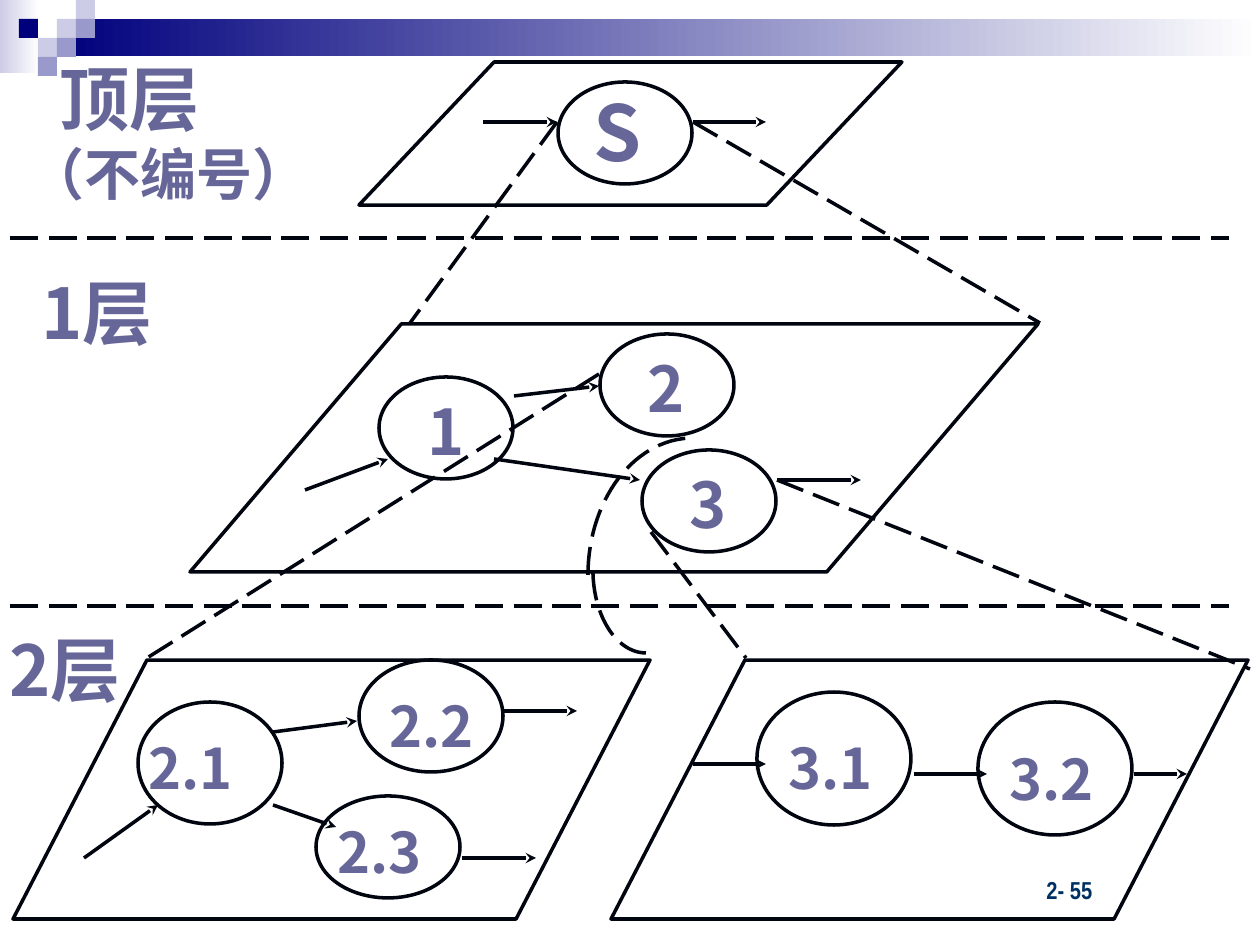
from math import cos, radians, sin

from lxml import etree
from pptx import Presentation
from pptx.dml.color import RGBColor
from pptx.enum.dml import MSO_LINE as Dash
from pptx.enum.shapes import MSO_CONNECTOR as Connector, MSO_SHAPE as Shape
from pptx.enum.text import MSO_AUTO_SIZE as AutoSize
from pptx.oxml.ns import qn
from pptx.util import Emu, Pt

EMU_PER_PX = 914400 / 126
INK, LABEL, NAVY = "01050F", "666699", "00007D"
LILAC, PALE, WHITE = "9999CC", "CCCCE6", "FFFFFF"
CJK = "Noto Sans CJK SC"


def px(length):
    return Emu(round(length * EMU_PER_PX))


def color(code):
    return RGBColor.from_string(code)


class Painter:
    def __init__(self, page):
        self.page = page

    def stroke(self, line, dashed=False):
        line.color.rgb = color(INK)
        line.width = Pt(2)
        if dashed:
            line.dash_style = Dash.LONG_DASH

    def block(self, left, top, width, height, start, end=None):
        """Borderless rectangle, plain or fading from start to end."""
        box = self.page.shapes.add_shape(
            Shape.RECTANGLE, px(left), px(top), px(width), px(height))
        box.shadow.inherit = False
        box.line.fill.background()
        if end is None:
            box.fill.solid()
            box.fill.fore_color.rgb = color(start)
            return
        box.fill.gradient()
        box.fill.gradient_angle = 0
        for stop, code in zip(box.fill.gradient_stops, (start, end)):
            stop.color.rgb = color(code)

    def outline(self, kind, left, top, width, height, slant=None):
        box = self.page.shapes.add_shape(
            kind, px(left), px(top), px(width), px(height))
        box.shadow.inherit = False
        box.fill.background()
        self.stroke(box.line)
        if slant is not None:
            box.adjustments[0] = slant

    def text(self, left, top, width, height, lines, font=CJK,
             code=LABEL, wrap=False):
        """Each line is (wording, point size, left indent in px)."""
        box = self.page.shapes.add_textbox(
            px(left), px(top), px(width), px(height))
        frame = box.text_frame
        frame.word_wrap = wrap
        frame.auto_size = AutoSize.SHAPE_TO_FIT_TEXT
        for number, (wording, size, indent) in enumerate(lines):
            para = frame.add_paragraph() if number else frame.paragraphs[0]
            if indent:
                para._p.get_or_add_pPr().set("marL", str(px(indent)))
            span = para.add_run()
            span.text = wording
            span.font.size = Pt(size)
            span.font.bold = True
            span.font.name = font
            span.font.color.rgb = color(code)
            east = etree.SubElement(span._r.get_or_add_rPr(), qn("a:ea"))
            east.set("typeface", font)

    def line(self, x1, y1, x2, y2, dashed=False):
        """Dashed lines are plain; solid ones end in an arrowhead."""
        link = self.page.shapes.add_connector(
            Connector.STRAIGHT, px(x1), px(y1), px(x2), px(y2))
        self.stroke(link.line, dashed)
        if not dashed:
            head = etree.SubElement(link.line._get_or_add_ln(), qn("a:tailEnd"))
            head.set("type", "stealth")
        etree.SubElement(link._element.spPr, qn("a:effectLst"))

    def quarter(self, center_x, center_y, radius_x, radius_y, start):
        """Dashed quarter ellipse, clockwise from the start angle."""
        points = [(px(center_x + radius_x * cos(radians(angle))),
                   px(center_y + radius_y * sin(radians(angle))))
                  for angle in range(start, start + 91, 3)]
        builder = self.page.shapes.build_freeform(*points[0])
        builder.add_line_segments(points[1:], close=False)
        curve = builder.convert_to_shape()
        curve.shadow.inherit = False
        curve.fill.background()
        self.stroke(curve.line, dashed=True)


def main():
    deck = Presentation()
    deck.slide_width, deck.slide_height = px(1260), px(945)
    painter = Painter(deck.slides.add_slide(deck.slide_layouts[6]))

    # Header band and its checker squares (column, row, colour)
    painter.block(0, 0, 39, 73, PALE, WHITE)
    painter.block(57, 19, 1203, 37, NAVY, WHITE)
    unit = 19
    for column, row, code in [(3, 1, PALE), (4, 0, PALE), (4, 1, LILAC),
                              (2, 2, PALE), (1, 1, NAVY), (3, 2, LILAC),
                              (2, 3, LILAC)]:
        painter.block(column * unit, row * unit, unit, unit, code)

    # Page number
    painter.text(917, 869, 262, 42, [("2- 55", 14, 117)],
                 "Arial Narrow", "003162", True)

    # Planes of the three levels
    for plane in [(359, 62, 543, 143, 0.945), (190, 324, 848, 248, 0.852),
                  (13, 660, 637, 259, 0.517), (611, 660, 637, 259, 0.517)]:
        painter.outline(Shape.PARALLELOGRAM, *plane)

    # Processes: name, circle, label position
    label_boxes = {44: (72, 105), 36: (63, 88), 32: (127, 79)}
    for name, size, circle, corner in [
            ("S", 44, (558, 82, 134, 102), (581, 78)),
            ("1", 36, (379, 377, 134, 102), (415, 386)),
            ("2", 36, (600, 334, 134, 102), (635, 343)),
            ("3", 36, (642, 450, 134, 102), (677, 459)),
            ("2.1", 32, (138, 702, 144, 122), (136, 727)),
            ("2.2", 32, (359, 660, 144, 112), (377, 685)),
            ("2.3", 32, (316, 796, 144, 102), (325, 811)),
            ("3.1", 32, (757, 692, 154, 133), (776, 727)),
            ("3.2", 32, (978, 702, 154, 133), (997, 738))]:
        painter.outline(Shape.OVAL, *circle)
        painter.text(*corner, *label_boxes[size], [(name, size, 0)])

    # Data flows
    for flow in [(483, 122, 557, 122), (693, 122, 766, 122),
                 (305, 490, 388, 459), (494, 459, 640, 480),
                 (514, 396, 599, 386), (777, 480, 861, 480),
                 (84, 858, 158, 805), (273, 805, 336, 827),
                 (273, 732, 357, 721), (462, 858, 536, 858),
                 (504, 711, 577, 711), (693, 764, 766, 764),
                 (914, 774, 987, 774), (1134, 774, 1187, 774)]:
        painter.line(*flow)

    # Expansion of a process into the plane below
    for ray in [(557, 122, 410, 323), (693, 122, 1040, 323),
                (599, 374, 147, 658), (777, 480, 1250, 669),
                (651, 532, 746, 658)]:
        painter.line(*ray, dashed=True)
    painter.quarter(693, 575, 105, 137, 180)
    painter.quarter(646, 570, 53, 83, 90)

    # Level dividers and names
    for height in (238, 606):
        painter.line(10, height, 1229, height, dashed=True)
    painter.text(16, 49, 338, 164, [("顶层", 40, 31), ("（不编号）", 32, 0)],
                 wrap=True)
    painter.text(29, 263, 154, 97, [("1层", 40, 0)])
    painter.text(-3, 620, 154, 97, [("2层", 40, 0)])

    deck.save("out.pptx")


if __name__ == "__main__":
    main()
